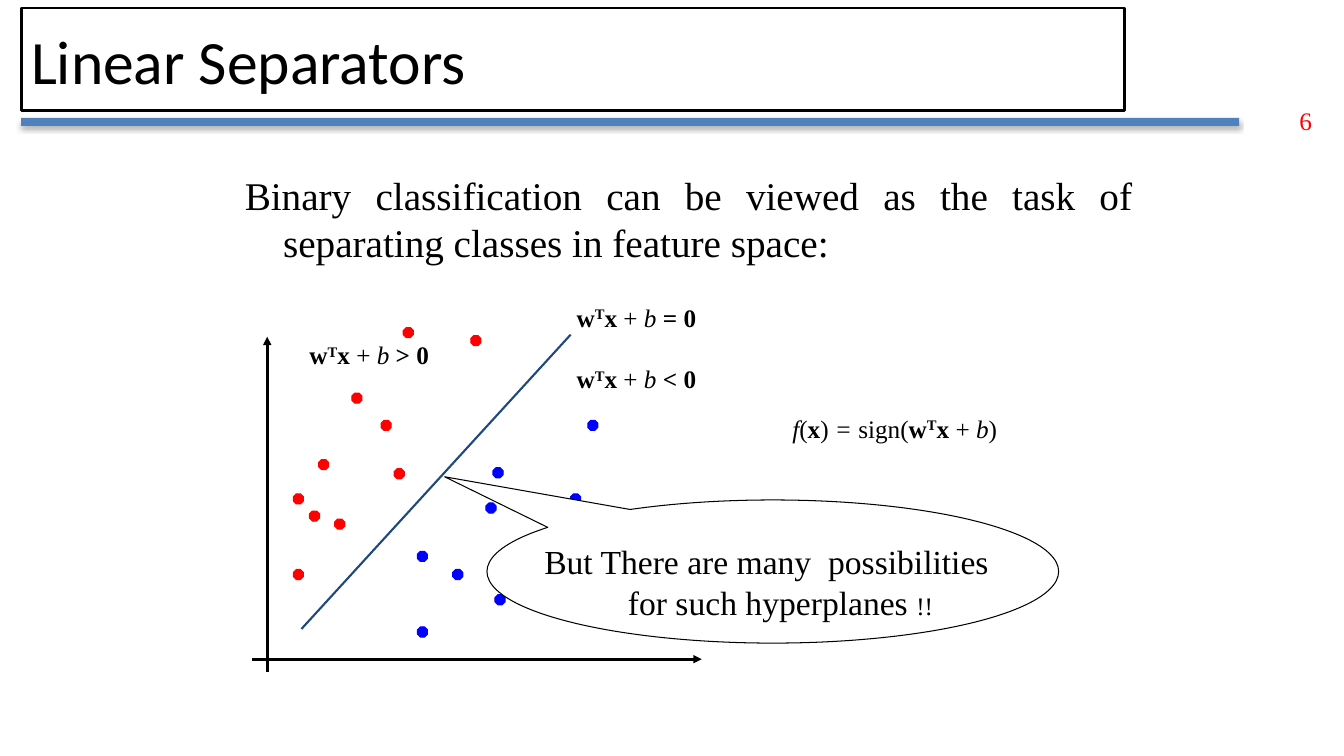
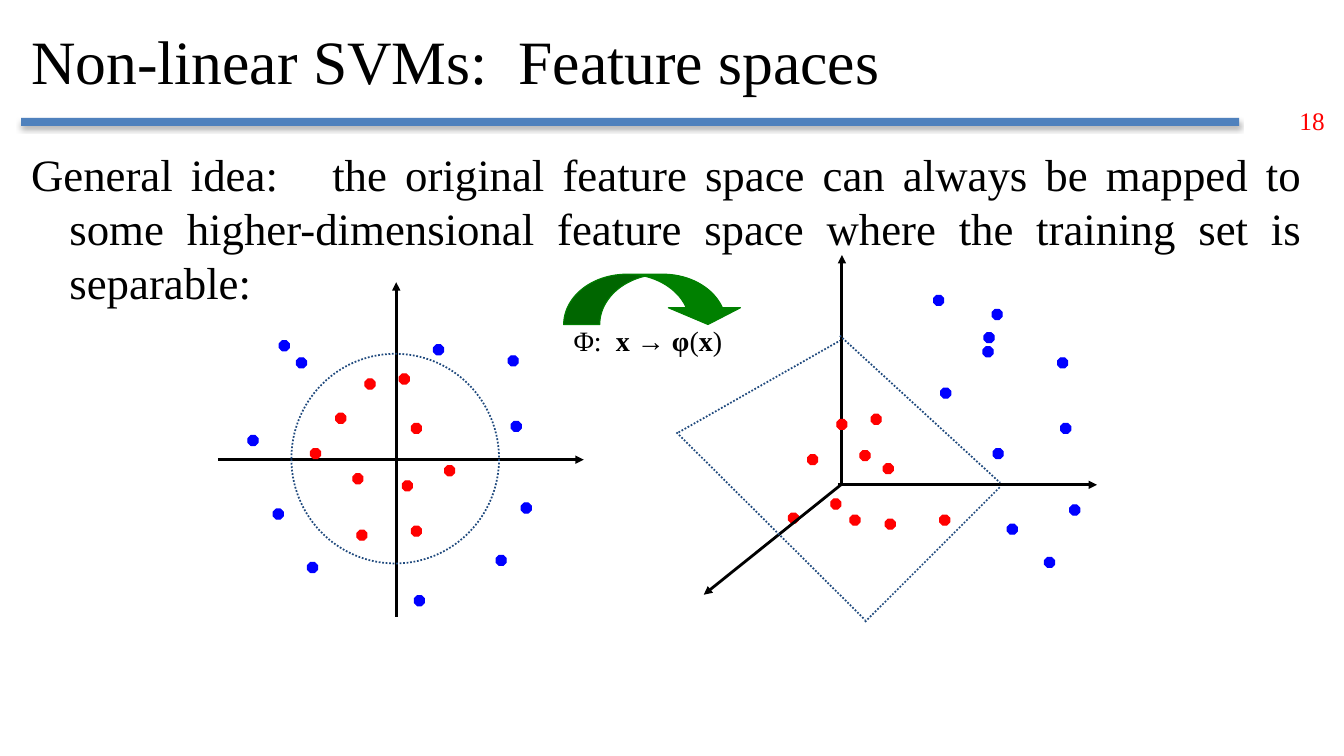
from dataclasses import dataclass

from lxml.etree import SubElement
from pptx import Presentation
from pptx.dml.color import RGBColor
from pptx.enum.dml import MSO_LINE
from pptx.enum.shapes import MSO_CONNECTOR, MSO_SHAPE
from pptx.enum.text import MSO_ANCHOR, PP_ALIGN
from pptx.oxml.ns import qn
from pptx.util import Emu, Pt


@dataclass(frozen=True)
class Theme:
    ink: str = "000000"
    paper: str = "FFFFFF"
    rule: str = "4F81BD"
    boundary: str = "1F497D"
    positive: str = "FF0000"
    negative: str = "0000FF"
    mapping: str = "008000"
    sans: str = "Calibri"
    serif: str = "Times New Roman"
    title_size: int = 44
    callout_size: int = 24
    mapping_size: int = 20
    label_size: int = 18
    axis_width: float = 2
    dotted_width: float = 1.25
    thin_width: float = 0.75


THEME = Theme()
PX = 9144
SLIDE_SIZE = (1333, 750)
TITLE_BOX = (21, 8, 1094, 102)
RULE_BOX = (21, 117, 1208, 8)
NUMBER_BOX = (1279, 100, 50, 40)
HANGING = 38
DOT = 10

HYPERPLANE = [("w", "b"), ("T", "b^"), ("x ", "b"), ("+ ", ""), ("b", "i")]

SEPARATORS = {
    "title": "Linear Separators",
    "title_font": THEME.sans,
    "title_border": True,
    "number": "6",
    "body": "Binary classification can be viewed as the task of separating classes in feature space:",
    "body_box": (233, 165, 900, 550),
    "body_size": 28,
    "axes": [(265, 667, 265, 334), (250, 654, 696, 654)],
    "positive": [
        (378, 417), (316, 456), (332, 515), (291, 565), (349, 390),
        (291, 490), (307, 507), (391, 465), (400, 325), (467, 333),
    ],
    "negative": [
        (489, 464), (449, 565), (557, 565), (414, 622), (482, 499),
        (414, 547), (491, 590), (566, 490), (583, 417),
    ],
}
SEPARATOR_LINE = (299, 624, 566, 332)
LABELS = [
    ((562, 295, 292, 40), HYPERPLANE + [(" = 0", "b")]),
    ((562, 356, 292, 40), HYPERPLANE + [(" < 0", "b")]),
    ((297, 332, 292, 40), HYPERPLANE + [(" > 0", "b")]),
    ((776, 405, 321, 40),
     [("f", "i"), ("(", ""), ("x", "b"), (")", ""), (" = ", "i"), ("sign(", "")]
     + HYPERPLANE + [(")", "")]),
]
CALLOUT_BOX = (483, 496, 567, 142)
CALLOUT_POINTER = (-0.574, -0.662)
CALLOUT_TEXT_BOX = (530, 532, 567, 91)
CALLOUT_FIRST = "But There are many  possibilities"
CALLOUT_SECOND = "for such hyperplanes "
CALLOUT_MARK = "!!"
CALLOUT_INDENT = 83

FEATURE_SPACES = {
    "title": "Non-linear SVMs:  Feature spaces",
    "title_font": THEME.serif,
    "title_border": False,
    "number": "18",
    "body": "General idea:   the original feature space can always be mapped to some "
            "higher-dimensional feature space where the training set is separable:",
    "body_box": (21, 141, 1281, 602),
    "body_size": 32,
    "axes": [
        (393, 612, 393, 280), (216, 456, 579, 456),
        (835, 479, 835, 253), (831, 481, 1088, 481),
    ],
    "positive": [
        (396, 371), (333, 410), (350, 470), (408, 522), (362, 376),
        (308, 445), (354, 526), (408, 420), (441, 462), (399, 477),
        (864, 411), (801, 451), (843, 511), (932, 511), (830, 416),
        (853, 447), (878, 515), (876, 460), (824, 495), (782, 509),
    ],
    "negative": [
        (507, 418), (492, 551), (246, 432), (411, 591), (517, 499),
        (305, 558), (271, 505), (277, 338), (430, 342), (294, 355),
        (504, 353), (1052, 420), (1036, 553), (984, 307), (985, 445),
        (1061, 501), (933, 385), (999, 520), (976, 330), (975, 344),
        (926, 293), (1049, 355),
    ],
}
CIRCLE_BOX = (289, 351, 206, 208)
DEPTH_AXIS = (834, 481, 698, 590)
PLANE_EDGES = [
    (833, 333, 992, 479), (858, 617, 992, 483),
    (673, 429, 833, 338), (671, 429, 858, 615),
]
MAPPING_BOX = (559, 272, 179, 50)
MAPPING_BEND = (0.717, 1.433, 0.333)
MAPPING_LABEL_BOX = (559, 316, 184, 43)
MAPPING_LABEL = [("Φ:  ", ""), ("x → φ", "b"), ("(", ""), ("x", "b"), (")", "")]


def emu(lengths):
    return [Emu(length * PX) for length in lengths]


def rgb(color):
    return RGBColor.from_string(color)


def add_run(paragraph, text, size, style="", color=THEME.ink, font=THEME.serif):
    run = paragraph.add_run()
    run.text = text
    run.font.name = font
    run.font.size = Pt(size)
    run.font.color.rgb = rgb(color)
    run.font.bold = "b" in style
    run.font.italic = "i" in style
    if "^" in style:
        run._r.get_or_add_rPr().set("baseline", "30000")


def indent(paragraph, left, first=0):
    properties = paragraph._p.get_or_add_pPr()
    properties.set("marL", str(left * PX))
    properties.set("indent", str(first * PX))


def add_text(slide, box, wrap=True):
    frame = slide.shapes.add_textbox(*emu(box)).text_frame
    frame.word_wrap = wrap
    return frame


def add_label(slide, box, runs, size):
    paragraph = add_text(slide, box).paragraphs[0]
    for text, style in runs:
        add_run(paragraph, text, size, style)


def add_figure(slide, kind, box, fill=None, line=None, width=THEME.thin_width, adjust=()):
    figure = slide.shapes.add_shape(kind, *emu(box))
    figure.shadow.inherit = False
    for index, value in enumerate(adjust):
        figure.adjustments[index] = value
    if fill:
        figure.fill.solid()
        figure.fill.fore_color.rgb = rgb(fill)
    else:
        figure.fill.background()
    if line:
        figure.line.color.rgb = rgb(line)
        figure.line.width = Pt(width)
    else:
        figure.line.fill.background()
    return figure


def add_line(slide, ends, color, width, dotted=False, arrow=False):
    connector = slide.shapes.add_connector(MSO_CONNECTOR.STRAIGHT, *emu(ends))
    connector.line.color.rgb = rgb(color)
    connector.line.width = Pt(width)
    if dotted:
        connector.line.dash_style = MSO_LINE.ROUND_DOT
    if arrow:
        SubElement(connector.line._get_or_add_ln(), qn("a:tailEnd"), type="triangle")
    SubElement(connector._element.spPr, qn("a:effectLst"))


def add_axis(slide, ends):
    add_line(slide, ends, THEME.ink, THEME.axis_width, arrow=True)


def add_rule(slide):
    rule = add_figure(slide, MSO_SHAPE.RECTANGLE, RULE_BOX, THEME.rule)
    effects = rule._element.spPr.find(qn("a:effectLst"))
    shadow = SubElement(effects, qn("a:outerShdw"), blurRad=str(Pt(3.5)),
                        dist=str(Pt(2.2)), dir="5400000", rotWithShape="0")
    shade = SubElement(shadow, qn("a:srgbClr"), val=THEME.ink)
    SubElement(shade, qn("a:alpha"), val="32000")


def add_content_slide(deck, content):
    slide = deck.slides.add_slide(deck.slide_layouts[6])
    add_rule(slide)
    number = add_text(slide, NUMBER_BOX, wrap=False).paragraphs[0]
    add_run(number, content["number"], THEME.label_size, color=THEME.positive)

    border = THEME.ink if content["title_border"] else None
    title = add_figure(slide, MSO_SHAPE.RECTANGLE, TITLE_BOX, THEME.paper, border, THEME.axis_width)
    title.text_frame.vertical_anchor = MSO_ANCHOR.MIDDLE
    heading = title.text_frame.paragraphs[0]
    heading.alignment = PP_ALIGN.LEFT
    add_run(heading, content["title"], THEME.title_size, font=content["title_font"])

    body = add_text(slide, content["body_box"]).paragraphs[0]
    body.alignment = PP_ALIGN.JUSTIFY
    indent(body, HANGING, -HANGING)
    add_run(body, content["body"], content["body_size"])

    for ends in content["axes"]:
        add_axis(slide, ends)
    for group, color in (("positive", THEME.positive), ("negative", THEME.negative)):
        for left, top in content[group]:
            add_figure(slide, MSO_SHAPE.OCTAGON, (left, top, DOT, DOT), color, color, adjust=(0.293,))
    return slide


def build_separators(deck):
    slide = add_content_slide(deck, SEPARATORS)
    add_line(slide, SEPARATOR_LINE, THEME.boundary, 1.5)
    for box, runs in LABELS:
        add_label(slide, box, runs, THEME.label_size)
    add_figure(slide, MSO_SHAPE.OVAL_CALLOUT, CALLOUT_BOX, THEME.paper, THEME.ink,
               adjust=CALLOUT_POINTER)
    remark = add_text(slide, CALLOUT_TEXT_BOX)
    add_run(remark.paragraphs[0], CALLOUT_FIRST, THEME.callout_size)
    second = remark.add_paragraph()
    indent(second, CALLOUT_INDENT)
    add_run(second, CALLOUT_SECOND, THEME.callout_size)
    add_run(second, CALLOUT_MARK, THEME.label_size)


def build_feature_spaces(deck):
    slide = add_content_slide(deck, FEATURE_SPACES)
    circle = add_figure(slide, MSO_SHAPE.OVAL, CIRCLE_BOX, line=THEME.boundary,
                        width=THEME.dotted_width)
    circle.line.dash_style = MSO_LINE.ROUND_DOT
    add_axis(slide, DEPTH_AXIS)
    for ends in PLANE_EDGES:
        add_line(slide, ends, THEME.boundary, THEME.dotted_width, dotted=True)
    add_figure(slide, MSO_SHAPE.CURVED_DOWN_ARROW, MAPPING_BOX, THEME.mapping, THEME.mapping,
               adjust=MAPPING_BEND)
    add_label(slide, MAPPING_LABEL_BOX, MAPPING_LABEL, THEME.mapping_size)


def main():
    deck = Presentation()
    deck.slide_width, deck.slide_height = emu(SLIDE_SIZE)
    build_separators(deck)
    build_feature_spaces(deck)
    deck.save("out.pptx")


if __name__ == "__main__":
    main()
